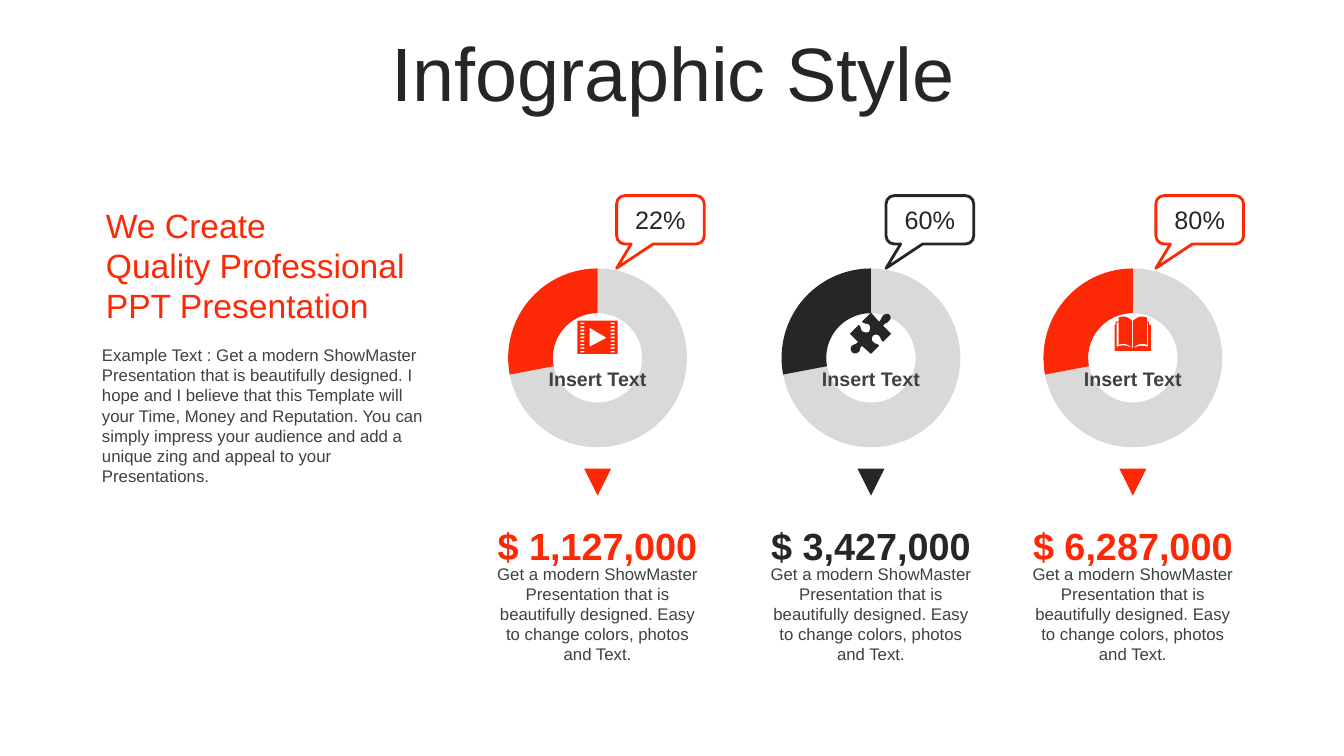
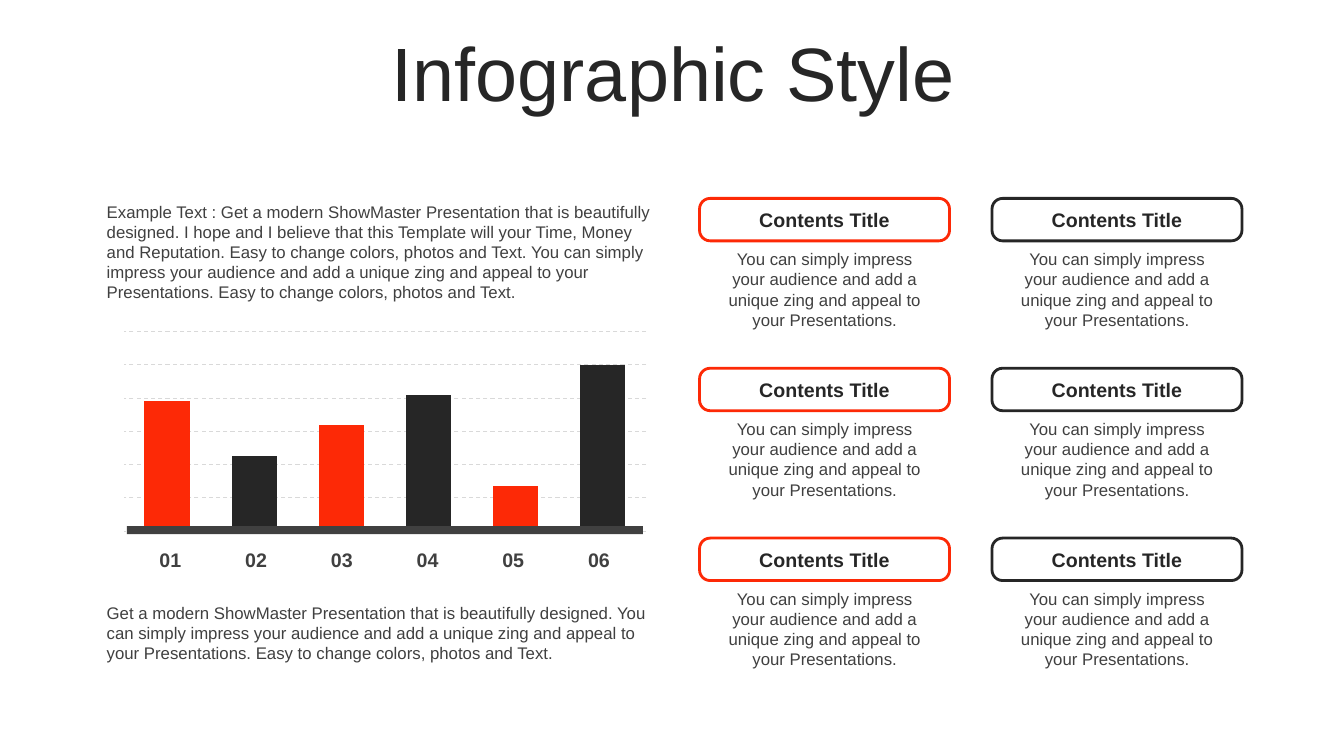
import lxml.etree
import pptx
import pptx.chart.data
import pptx.dml.color
import pptx.enum.chart
import pptx.enum.dml
import pptx.enum.shapes
import pptx.enum.text
import pptx.oxml.ns
import pptx.util

Cm = pptx.util.Cm
Pt = pptx.util.Pt
RGBColor = pptx.dml.color.RGBColor
SHAPE = pptx.enum.shapes.MSO_SHAPE
ALIGN = pptx.enum.text.PP_ALIGN
CHART = pptx.enum.chart.XL_CHART_TYPE
qn = pptx.oxml.ns.qn

# Shared style
FONT = "Arial"
RED = RGBColor(0xFD, 0x29, 0x06)
DARK = RGBColor(0x26, 0x26, 0x26)
GREY = RGBColor(0x40, 0x40, 0x40)
PALE = RGBColor(0xD9, 0xD9, 0xD9)
INSET = 0.25

# Content
TITLE = "Infographic Style"
HEADING = "We Create\nQuality Professional\nPPT Presentation"
PITCH = (
    "Example Text : Get a modern ShowMaster Presentation that is beautifully designed. "
    "I hope and I believe that this Template will your Time, Money and Reputation. "
    "You can simply impress your audience and add a unique zing and appeal to your Presentations."
)
COLUMN_TEXT = (
    "Get a modern ShowMaster Presentation that is beautifully designed. "
    "Easy to change colors, photos and Text."
)
CHART_INTRO = (
    "Example Text : Get a modern ShowMaster Presentation that is beautifully designed. "
    "I hope and I believe that this Template will your Time, Money and Reputation. "
    "Easy to change colors, photos and Text. You can simply impress your audience and add "
    "a unique zing and appeal to your Presentations. Easy to change colors, photos and Text."
)
CHART_OUTRO = (
    "Get a modern ShowMaster Presentation that is beautifully designed. "
    "You can simply impress your audience and add a unique zing and appeal to your "
    "Presentations. Easy to change colors, photos and Text."
)
CARD_TITLE = "Contents Title"
CARD_TEXT = (
    "You can simply impress your audience and add a unique zing and appeal "
    "to your Presentations."
)
RING_VALUES = [72, 28]
BAR_VALUES = [78, 45, 64, 82, 27, 100]

# Icon outlines in hundredths of an inch around the icon centre:
# two numbers are a corner, six are a cubic curve
FILM = [
    [(-20, -13), (20, -13), (20, 20), (-20, 20)],
    [(-8, -6), (-8, 13), (9, 4)],
]
for row in range(9):
    top = -11 + 3.5 * row
    for left in (-17, 13):
        FILM.append([(left, top), (left, top + 1.6), (left + 4, top + 1.6), (left + 4, top)])
PUZZLE = [[
    (18, -19), (20, -17, 20, -15, 18, -13), (16, -10, 14, -11, 12, -8),
    (20, 0), (12, 8), (9, 6, 10, 4, 8, 2), (6, 0, 3, 1, 2, 2),
    (1, 3, 0, 6, 2, 8), (5, 11, 6, 9, 8, 12), (0, 20), (-9, 12),
    (-12, 15, -10, 15, -12, 18), (-15, 20, -17, 20, -19, 18),
    (-20, 17, -21, 14, -19, 12), (-17, 10, -15, 11, -13, 8),
    (-21, 0), (-12, -9), (-9, -6, -11, -4, -8, -2), (-6, -1, -4, -1, -2, -2),
    (-1, -4, 0, -7, -2, -9), (-5, -11, -6, -9, -9, -12), (0, -21), (8, -12),
    (11, -15, 10, -16, 12, -18), (14, -20, 17, -20, 18, -19),
]]
BOOK = [[
    (-1, 14), (0, 14), (6, 12, 9, 11, 15, 13), (15, -11), (14, -11), (14, 11),
    (9, 9, 5, 10, 0, 14), (0, -13), (3, -15, 5, -17, 9, -17),
    (10, -17, 12, -17, 14, -16), (14, -12), (16, -12), (16, -9), (18, -9),
    (18, 17), (-18, 17), (-18, -9), (-17, -9), (-17, -12), (-14, -12),
    (-14, -16), (-12, -17, -10, -17, -9, -17), (-6, -17, -3, -15, -1, -13),
    (-1, 14), (-5, 10, -10, 9, -14, 11), (-14, -11), (-16, -11), (-16, 13),
    (-10, 10, -6, 12, -1, 14),
]]

# Column centre, callout left, share, amount, colour, icon
COLUMNS = [
    (15.06, 15.54, "22%", "$ 1,127,000", RED, FILM),
    (21.95, 22.33, "60%", "$ 3,427,000", DARK, PUZZLE),
    (28.55, 29.13, "80%", "$ 6,287,000", RED, BOOK),
]


def place(left, top, width, height):
    return Cm(left), Cm(top), Cm(width), Cm(height)


def style_text(frame, text, size, color, bold=False, align=ALIGN.LEFT):
    frame.text = text
    frame.word_wrap = True
    for para in frame.paragraphs:
        para.alignment = align
        for span in para.runs:
            span.font.name = FONT
            span.font.size = Pt(size)
            span.font.bold = bold
            span.font.color.rgb = color


def add_text(page, area, text, size, color=GREY, bold=False, align=ALIGN.LEFT,
             side=0.0, edge=0.0):
    frame = page.shapes.add_textbox(*place(*area)).text_frame
    frame.margin_left = frame.margin_right = Cm(side)
    frame.margin_top = frame.margin_bottom = Cm(edge)
    style_text(frame, text, size, color, bold, align)


def add_solid(page, kind, area, color):
    shape = page.shapes.add_shape(kind, *place(*area))
    fill_solid(shape, color)
    return shape


def fill_solid(shape, color):
    shape.shadow.inherit = False
    shape.fill.solid()
    shape.fill.fore_color.rgb = color
    shape.line.fill.background()


def add_frame(page, kind, area, color, adjustments, text, size, bold=False):
    shape = page.shapes.add_shape(kind, *place(*area))
    shape.shadow.inherit = False
    shape.fill.background()
    shape.line.color.rgb = color
    shape.line.width = Pt(2)
    for index, value in enumerate(adjustments):
        shape.adjustments[index] = value
    shape.text_frame.vertical_anchor = pptx.enum.text.MSO_ANCHOR.MIDDLE
    style_text(shape.text_frame, text, size, DARK, bold, ALIGN.CENTER)


def add_page(deck):
    page = deck.slides.add_slide(deck.slide_layouts[5])
    title = page.shapes.title
    title.left, title.top, title.width, title.height = place(0.89, 0.94, 32.16, 2)
    frame = title.text_frame
    frame.auto_size = pptx.enum.text.MSO_AUTO_SIZE.NONE
    frame.vertical_anchor = pptx.enum.text.MSO_ANCHOR.MIDDLE
    style_text(frame, TITLE, 54, DARK, align=ALIGN.CENTER)
    frame.paragraphs[0].line_spacing = 0.9
    return page


def add_chart(page, kind, area, values, colors):
    data = pptx.chart.data.CategoryChartData()
    data.categories = [str(index + 1) for index in range(len(values))]
    data.add_series("Series 1", values)
    chart = page.shapes.add_chart(kind, *place(*area), data).chart
    chart.has_legend = False
    chart.has_title = False
    chart.font.name = FONT
    chart.font.size = Pt(18)
    plot = chart.plots[0]
    plot.vary_by_categories = False
    for index, color in enumerate(colors):
        point = plot.series[0].points[index].format
        point.fill.solid()
        point.fill.fore_color.rgb = color
        point.line.fill.background()
    return chart


def shape_ring(chart, hole, margin):
    """Set the hole size and an equal margin around the ring."""
    area = chart._chartSpace.find(".//" + qn("c:plotArea"))
    area.find(".//" + qn("c:holeSize")).set("val", str(hole))
    for layout in area.findall(qn("c:layout")):
        area.remove(layout)
    layout = lxml.etree.Element(qn("c:layout"))
    manual = lxml.etree.SubElement(layout, qn("c:manualLayout"))
    size = 1 - 2 * margin
    for tag, value in (("layoutTarget", "inner"), ("xMode", "edge"), ("yMode", "edge"),
                       ("x", margin), ("y", margin), ("w", size), ("h", size)):
        lxml.etree.SubElement(manual, qn("c:" + tag)).set("val", str(value))
    area.insert(0, layout)


def trace(contour, steps=8):
    """Turn corners and cubic curves into points in thousandths of a cm."""
    points = []
    for part in contour:
        if len(part) == 2:
            points.append(part)
            continue
        corners = [points[-1], part[:2], part[2:4], part[4:]]
        for step in range(1, steps + 1):
            t = step / steps
            weights = ((1 - t) ** 3, 3 * t * (1 - t) ** 2, 3 * t * t * (1 - t), t ** 3)
            points.append(tuple(
                sum(weight * corner[axis] for weight, corner in zip(weights, corners))
                for axis in (0, 1)
            ))
    return [(x * 25.4, y * 25.4) for x, y in points]


def add_icon(page, center, middle, contours, color):
    outlines = [trace(contour) for contour in contours]
    builder = page.shapes.build_freeform(*outlines[0][0], scale=Cm(0.001))
    for index, outline in enumerate(outlines):
        if index:
            builder.move_to(*outline[0])
        builder.add_line_segments(outline[1:], close=True)
    fill_solid(builder.convert_to_shape(Cm(center), Cm(middle)), color)


def build_rings(deck):
    page = add_page(deck)
    add_text(page, (2.57, 5.16, 8.46, 3.07), HEADING, 24, RED, side=0.1)
    add_text(page, (2.57, 8.69, 8.46, 3.58), PITCH, 12)

    for center, callout, share, amount, color, icon in COLUMNS:
        ring = add_chart(page, CHART.DOUGHNUT, (center - 2.62, 6.4, 5.24, 5.24),
                         RING_VALUES, [PALE, color])
        shape_ring(ring, 78, 0.07)
        add_frame(page, SHAPE.ROUNDED_RECTANGULAR_CALLOUT, (callout, 4.93, 2.21, 1.22),
                  color, (-0.5, 1, 0.17), share, 18)
        add_icon(page, center, 8.41, icon, color)
        add_text(page, (center - 1.5, 9.25, 3, 0.61), "Insert Text", 14,
                 bold=True, align=ALIGN.CENTER)
        arrow = add_solid(page, SHAPE.FLOWCHART_EXTRACT,
                          (center - 0.34, 11.81, 0.68, 0.68), color)
        arrow.rotation = 180
        add_text(page, (center - 2.66, 13.18, 5.32, 1.14), amount, 27, color,
                 True, ALIGN.CENTER)
        add_text(page, (center - 2.66, 14.2, 5.32, 2.57), COLUMN_TEXT, 12,
                 align=ALIGN.CENTER)


def build_bars(deck):
    page = add_page(deck)

    # Column chart with its base line and labels
    colors = [(RED, DARK)[index % 2] for index in range(len(BAR_VALUES))]
    chart = add_chart(page, CHART.COLUMN_CLUSTERED, (2.84, 8.25, 13.72, 5.24),
                      BAR_VALUES, colors)
    chart.plots[0].gap_width = 92
    chart.plots[0].overlap = -7
    chart.category_axis.visible = False
    axis = chart.value_axis
    axis.visible = False
    axis.minimum_scale, axis.maximum_scale, axis.major_unit = 0, 120, 20
    axis.has_major_gridlines = True
    grid = axis.major_gridlines.format.line
    grid.color.rgb = PALE
    grid.width = Pt(0.75)
    grid.dash_style = pptx.enum.dml.MSO_LINE.DASH
    add_solid(page, SHAPE.RECTANGLE, (3.2, 13.26, 13, 0.2), GREY)
    for index in range(len(BAR_VALUES)):
        add_text(page, (3.38 + 2.16 * index, 13.68, 1.83, 0.86), f"{index + 1:02}", 14,
                 bold=True, align=ALIGN.CENTER, side=INSET, edge=INSET / 2)

    # Text above and below the chart
    for top, height, text in ((4.95, 2.82, CHART_INTRO), (15.06, 1.8, CHART_OUTRO)):
        add_text(page, (2.44, top, 14.53, height), text, 12, side=INSET, edge=INSET / 2)

    # Grid of cards
    for row in range(3):
        for column, color in enumerate((RED, DARK)):
            left, top = 17.63 + 7.37 * column, 5 + 4.28 * row
            add_frame(page, SHAPE.ROUNDED_RECTANGLE, (left, top, 6.3, 1.07), color,
                      (0.25,), CARD_TITLE, 14, True)
            add_text(page, (left + 0.45, top + 1.15, 5.41, 2.31), CARD_TEXT, 12,
                     align=ALIGN.CENTER, side=INSET, edge=INSET / 2)


def main():
    deck = pptx.Presentation()
    deck.slide_width, deck.slide_height = Cm(33.87), Cm(19.05)
    build_rings(deck)
    build_bars(deck)
    deck.save("out.pptx")


if __name__ == "__main__":
    main()
